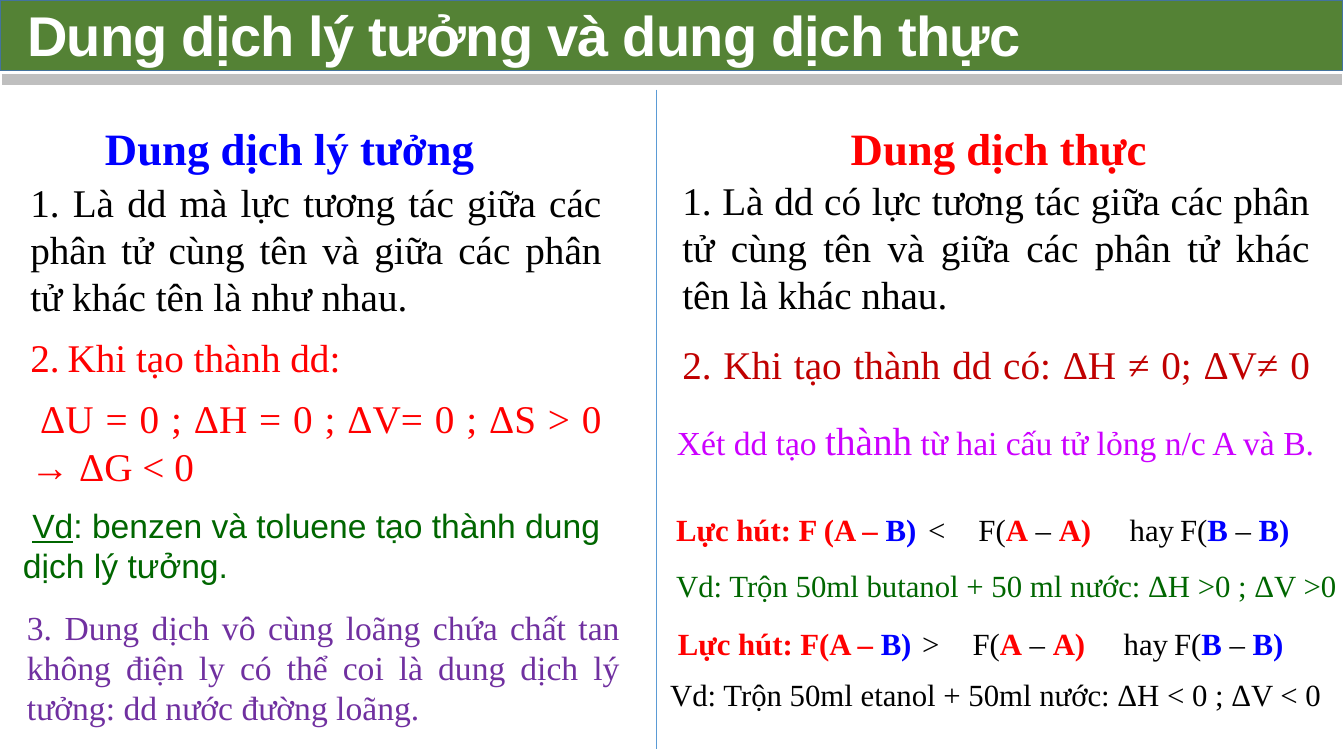
from lxml import etree
from pptx import Presentation
from pptx.dml.color import RGBColor
from pptx.enum.shapes import MSO_CONNECTOR as CONNECTOR, MSO_SHAPE as SHAPE
from pptx.enum.text import MSO_ANCHOR as ANCHOR, MSO_AUTO_SIZE as AUTO_SIZE, PP_ALIGN as ALIGN
from pptx.oxml.ns import qn
from pptx.util import Cm, Pt

WHITE = RGBColor(0xFF, 0xFF, 0xFF)
BLACK = RGBColor(0x00, 0x00, 0x00)
BAR_GREEN = RGBColor(0x54, 0x82, 0x35)
BAR_EDGE = RGBColor(0x43, 0x73, 0x9E)
GRAY = RGBColor(0xBF, 0xBF, 0xBF)
LIGHT_BLUE = RGBColor(0x5B, 0x9B, 0xD5)
BLUE = RGBColor(0x00, 0x00, 0xFF)
RED = RGBColor(0xFF, 0x00, 0x00)
DARK_RED = RGBColor(0xC0, 0x00, 0x00)
MAGENTA = RGBColor(0xCC, 0x00, 0xFF)
GREEN = RGBColor(0x00, 0x66, 0x00)
PURPLE = RGBColor(0x70, 0x30, 0xA0)
SERIF = "Times New Roman"


def place(shape, left, top, width, height, anchor=ANCHOR.TOP):
    """Position a shape in centimetres and return its wrapped text frame."""
    shape.left, shape.top, shape.width, shape.height = map(Cm, (left, top, width, height))
    frame = shape.text_frame
    frame.word_wrap = True
    frame.auto_size = AUTO_SIZE.NONE
    frame.vertical_anchor = anchor
    return frame


def write(paragraph, text, size, color, align=ALIGN.LEFT, bold=False, font=SERIF,
          before=0, after=0, spacing=1.0, number=False, hanging=0, tabs=()):
    """Format a paragraph; a number or the lack of one replaces the layout's bullet."""
    paragraph.text = text
    paragraph.alignment = align
    paragraph.space_before, paragraph.space_after = Pt(before), Pt(after)
    paragraph.line_spacing = spacing
    properties = paragraph._p.get_or_add_pPr()
    properties.set("marL", str(Cm(hanging)))
    properties.set("indent", str(-Cm(hanging)))
    if number:
        etree.SubElement(properties, qn("a:buFont"), typeface="+mj-lt")
        etree.SubElement(properties, qn("a:buAutoNum"), type="arabicPeriod")
    else:
        etree.SubElement(properties, qn("a:buNone"))
    if tabs:
        tab_list = etree.SubElement(properties, qn("a:tabLst"))
        for position in tabs:
            etree.SubElement(tab_list, qn("a:tab"), pos=str(Cm(position)), algn="l")
    paragraph.font.name = font
    paragraph.font.size = Pt(size)
    paragraph.font.bold = bold
    paragraph.font.color.rgb = color


presentation = Presentation()
presentation.slide_width, presentation.slide_height = Cm(33.87), Cm(19.05)
slide = presentation.slides.add_slide(presentation.slide_layouts[4])
shapes = slide.shapes
title, ideal_heading, ideal_body, real_heading, real_body = slide.placeholders

# Title bar and rules
bar = shapes.add_shape(SHAPE.RECTANGLE, Cm(0), Cm(0), Cm(33.83), Cm(1.78))
bar.shadow.inherit = False
bar.fill.solid()
bar.fill.fore_color.rgb = BAR_GREEN
bar.line.color.rgb = BAR_EDGE
bar.line.width = Pt(1)
shapes._spTree.insert(2, bar._element)

for start_x, start_y, end_x, end_y, color, width in (
    (0.05, 2.01, 33.83, 2.01, GRAY, 8),
    (16.54, 2.26, 16.54, 18.87, LIGHT_BLUE, 0.5),
):
    rule = shapes.add_connector(CONNECTOR.STRAIGHT, Cm(start_x), Cm(start_y), Cm(end_x), Cm(end_y))
    rule.line.color.rgb = color
    rule.line.width = Pt(width)
    etree.SubElement(rule._element.spPr, qn("a:effectLst"))

title_paragraph = place(title, 0.43, 0.15, 32.94, 1.63).paragraphs[0]
write(title_paragraph, "Dung dịch lý tưởng và dung dịch thực", 40, WHITE,
      bold=True, font="Arial", spacing=0.85)
title_paragraph.runs[0]._r.get_or_add_rPr().set("spc", "-50")

# Column headings
for heading, left, text, color, align in (
    (ideal_heading, 2.39, "Dung dịch lý tưởng", BLUE, ALIGN.JUSTIFY),
    (real_heading, 19.86, "Dung dịch thực", RED, ALIGN.CENTER),
):
    frame = place(heading, left, 2.26, 10.62, 2.24, ANCHOR.MIDDLE)
    write(frame.paragraphs[0], text, 32, color, align, bold=True, spacing=1.5)

# Definitions in both columns
ideal_points = (
    (" Là dd mà lực tương tác giữa các phân tử cùng tên và giữa các phân tử khác tên là như nhau.",
     BLACK, dict(number=True, tabs=[1.12])),
    ("Khi tạo thành dd:", RED, dict(number=True, hanging=0.94, before=10)),
    (" ΔU = 0 ; ΔH = 0 ; ΔV= 0 ; ΔS > 0 → ΔG < 0", RED, dict(before=10)),
)
real_points = (
    ("1. Là dd có lực tương tác giữa các phân tử cùng tên và giữa các phân tử khác tên là khác nhau.",
     BLACK, dict(after=6)),
    ("2. Khi tạo thành dd có: ΔH ≠ 0; ΔV≠ 0\v", DARK_RED, dict(before=10)),
)
for body, area, points in (
    (ideal_body, (0.51, 4.37, 14.91, 8.33), ideal_points),
    (real_body, (16.94, 4.32, 16.33, 7.16), real_points),
):
    frame = place(body, *area)
    for index, (text, color, options) in enumerate(points):
        paragraph = frame.add_paragraph() if index else frame.paragraphs[0]
        write(paragraph, text, 28, color, ALIGN.JUSTIFY, **options)

# Remarks on ideal solutions
example = place(shapes.add_textbox(0, 0, 0, 0), 0.33, 12.6, 15.06, 2.31).paragraphs[0]
write(example, " ", 24, GREEN, font="Arial")
label = example.add_run()
label.text = "Vd"
label.font.underline = True
example.add_run().text = ": benzen và toluene tạo thành dung dịch lý tưởng."

dilute = place(shapes.add_textbox(0, 0, 0, 0), 0.43, 15.16, 15.44, 3.33).paragraphs[0]
write(dilute, "3. Dung dịch vô cùng loãng chứa chất tan không điện ly có thể coi là "
      "dung dịch lý tưởng: dd nước đường loãng.", 24, PURPLE, ALIGN.JUSTIFY)

# Remarks on real solutions
mixture = place(shapes.add_textbox(0, 0, 0, 0), 16.81, 10.26, 16.99, 1.63, ANCHOR.MIDDLE).paragraphs[0]
write(mixture, "Xét dd tạo ", 24, MAGENTA)
larger = mixture.add_run()
larger.text = "thành"
larger.font.size = Pt(28)
mixture.add_run().text = " từ hai cấu tử lỏng n/c A và B."

FORCE_TABS = (6.45, 7.46, 10.69, 12.19)
weak = shapes.add_textbox(0, 0, 0, 0)
strong = shapes.add_shape(SHAPE.RECTANGLE, 0, 0, 0, 0)
strong.shadow.inherit = False
strong.fill.solid()
strong.fill.fore_color.rgb = WHITE
strong.line.fill.background()
for box, area, opening, sign, shift, sample, sample_color, before, spacing in (
    (weak, (16.79, 12.29, 17.53, 3.07), "Lực hút: F (A – ", "<", 0,
     "Vd: Trộn 50ml butanol + 50 ml nước: ΔH >0 ; ΔV >0", GREEN, 0, 1.5),
    (strong, (16.64, 15.62, 17.17, 2.49), " Lực hút: F(A – ", ">", 0.23,
     "Vd: Trộn 50ml etanol + 50ml nước: ΔH < 0 ; ΔV < 0", BLACK, 10, 1.0),
):
    frame = place(box, *area)
    forces = frame.paragraphs[0]
    write(forces, "", 22, BLACK, spacing=spacing, tabs=[stop + shift for stop in FORCE_TABS])
    for text, color in (
        (opening, RED), ("B)", BLUE), (f"\t{sign}\tF(", BLACK), ("A", RED), (" – ", BLACK),
        ("A)", RED), ("\thay\tF(", BLACK), ("B", BLUE), (" – ", BLACK), ("B)", BLUE),
    ):
        run = forces.add_run()
        run.text = text
        run.font.color.rgb = color
        run.font.bold = color != BLACK
    write(frame.add_paragraph(), sample, 22, sample_color, before=before, spacing=spacing)

presentation.save("out.pptx")
